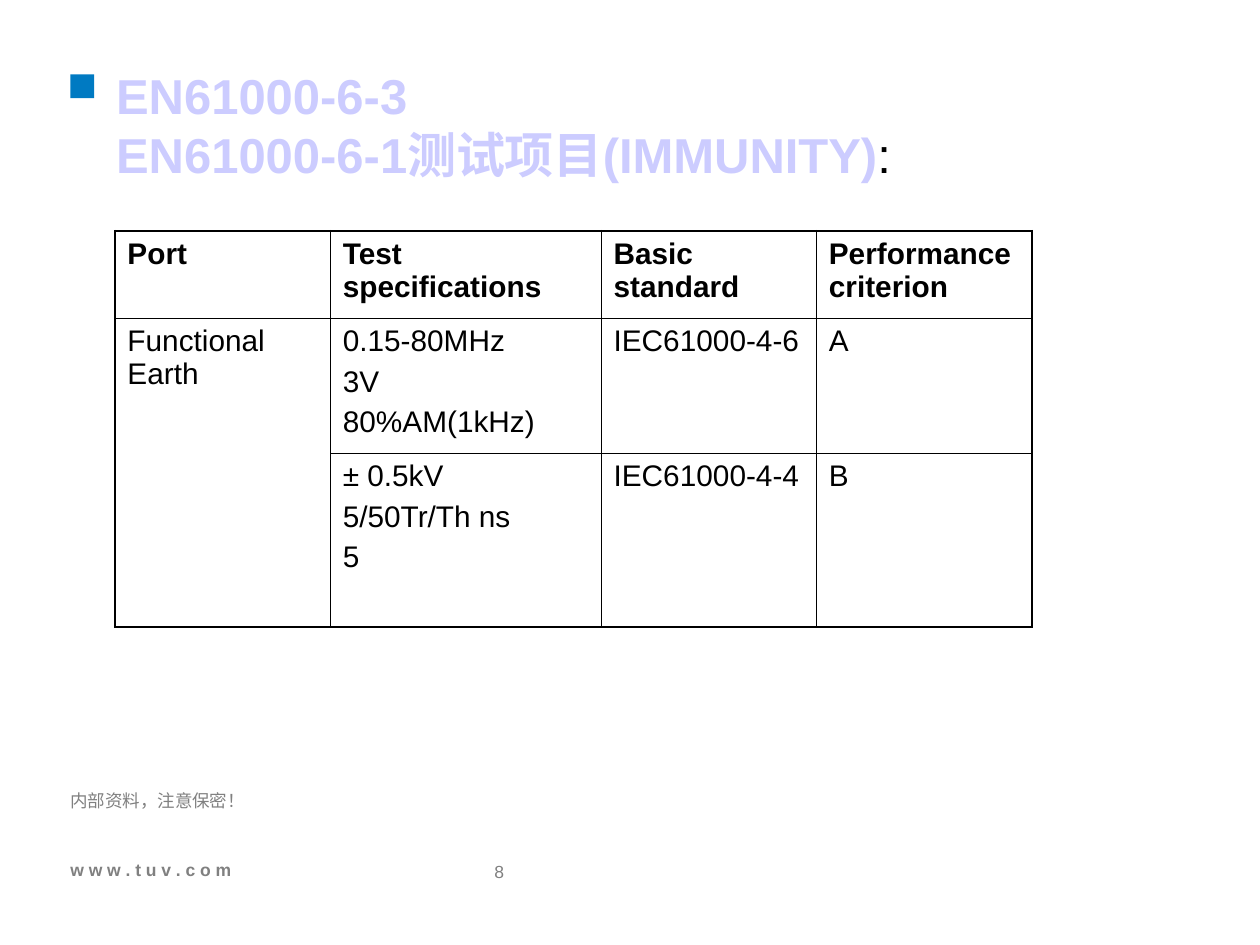
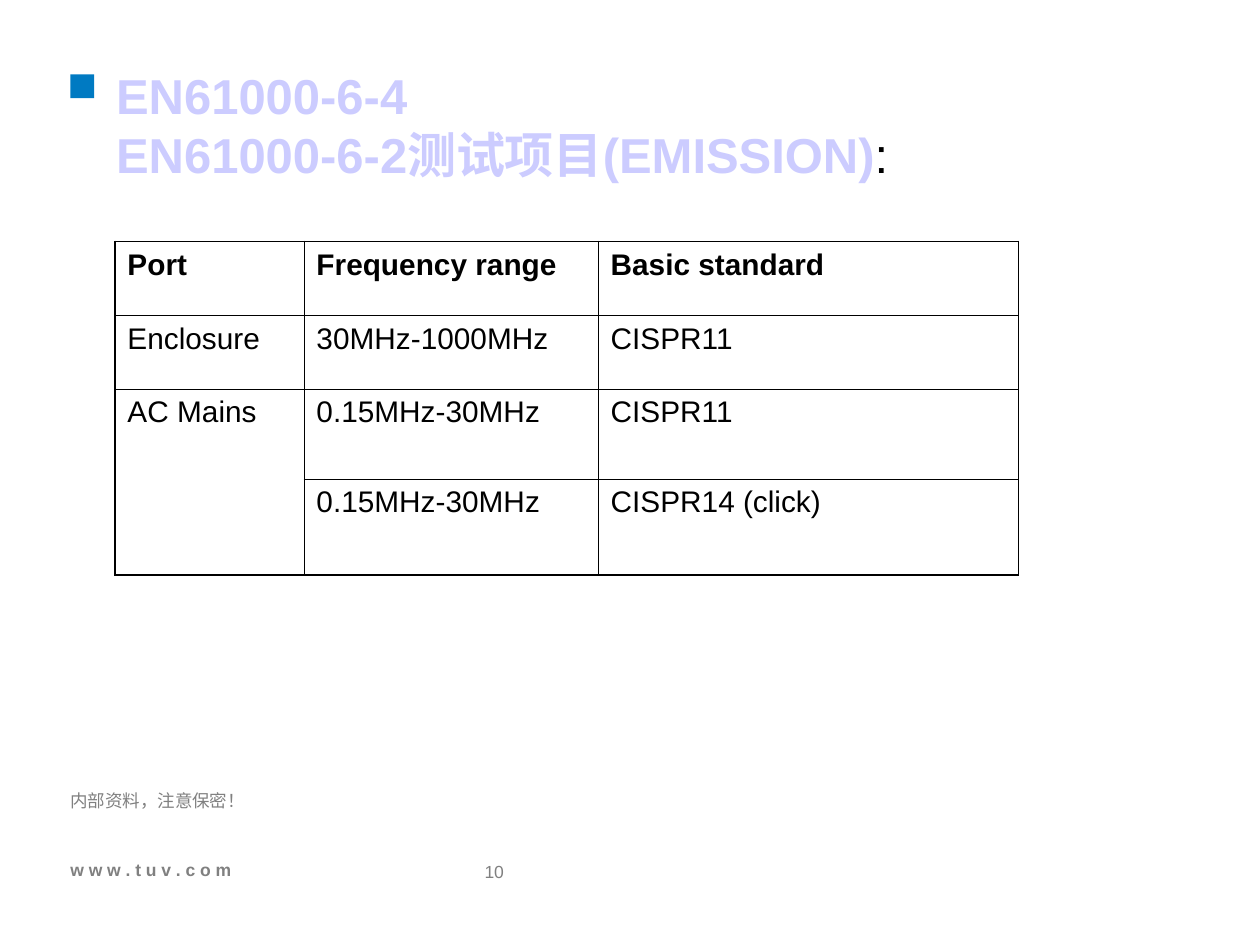
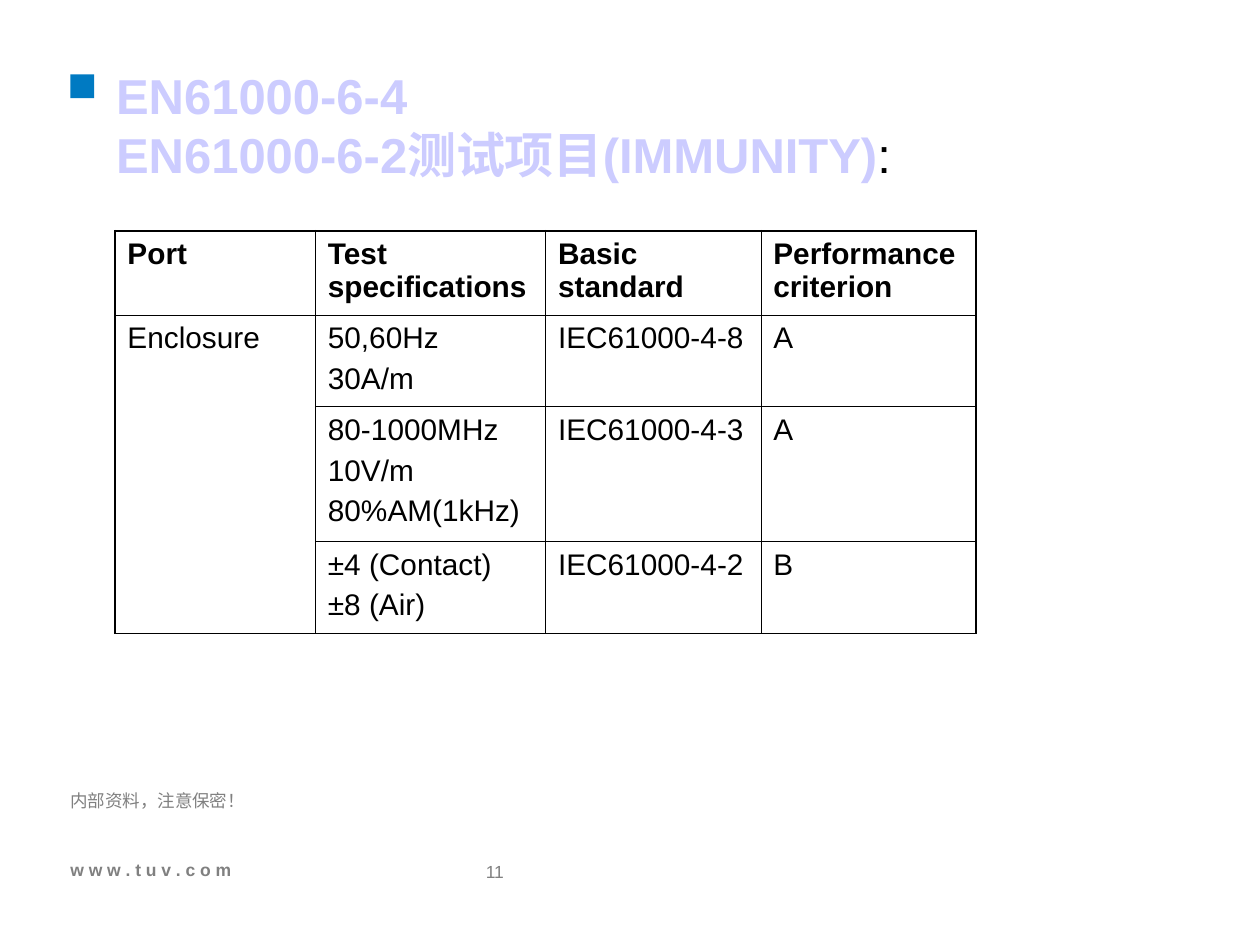
from pptx import Presentation
from pptx.dml.color import RGBColor as RGB
from pptx.enum.shapes import MSO_SHAPE as SHAPE
from pptx.enum.text import MSO_ANCHOR as ANCHOR, MSO_AUTO_SIZE as AUTO, PP_ALIGN as ALIGN
from pptx.oxml.ns import qn
from pptx.util import Cm, Pt
from lxml.etree import SubElement

COLORS = {
    "title": "CCCCFF",
    "text": "000000",
    "footer": "808080",
    "marker": "007AC2",
    "paper": "FFFFFF",
}
FONT = "Arial"
THIN, THICK = 0.45, 1.08
MARGIN = 1.42


def rgb(name):
    return RGB.from_string(COLORS[name])


class Deck:
    """Holds the style and the current slide."""

    def __init__(self):
        self.prs = Presentation()
        self.prs.slide_width, self.prs.slide_height = Cm(25.4), Cm(19.05)
        self.s = None

    def style(self, font, size, color, bold=False):
        font.name, font.size, font.bold = FONT, Pt(size), bold
        font.color.rgb = rgb(color)

    def frame(self, tf, top=0, anchor=ANCHOR.TOP):
        tf.margin_left = tf.margin_right = tf.margin_bottom = 0
        tf.margin_top = Cm(top)
        tf.word_wrap, tf.auto_size = True, AUTO.NONE
        tf.vertical_anchor = anchor

    def new_slide(self, title, number):
        self.s = self.prs.slides.add_slide(self.prs.slide_layouts[5])
        self.marker()
        self.title(title)
        self.footer("w w w . t u v . c o m", (MARGIN, 16.1, 4.29, 1.65),
                    bold=True, top=0.3, anchor=ANCHOR.BOTTOM)
        self.footer("内部资料，注意保密！", (MARGIN, 15.93, 8.05, 1.27))
        self.footer(str(number), (8.1, 17.35, 2.06, 1.27), align=ALIGN.RIGHT)

    def marker(self):
        sp = self.s.shapes.add_shape(SHAPE.RECTANGLE, Cm(MARGIN), Cm(1.5), Cm(0.48), Cm(0.48))
        sp.shadow.inherit = False
        sp.fill.solid()
        sp.fill.fore_color.rgb = rgb("marker")
        sp.line.fill.background()

    def title(self, lines):
        sp = self.s.shapes.title
        sp.left, sp.top, sp.width, sp.height = Cm(2.34), Cm(1.32), Cm(17.35), Cm(1.45)
        self.frame(sp.text_frame)
        p = sp.text_frame.paragraphs[0]
        p.alignment = ALIGN.LEFT
        for i, line in enumerate(lines):
            if i:
                p.add_line_break()
            r = p.add_run()
            r.text = line
            self.style(r.font, 28, "title", bold=True)
        r = p.add_run()
        r.text = ":"
        self.style(r.font, 28, "text")

    def footer(self, text, box, bold=False, align=ALIGN.LEFT, **layout):
        sp = self.s.shapes.add_textbox(*map(Cm, box))
        self.frame(sp.text_frame, **layout)
        p = sp.text_frame.paragraphs[0]
        p.text, p.alignment = text, align
        self.style(p.font, 10, "footer", bold)

    def borders(self, cell, **widths):
        tcPr = cell._tc.get_or_add_tcPr()
        for side in "LRTB":
            ln = SubElement(tcPr, qn(f"a:ln{side}"), w=str(int(Pt(widths[side]))))
            fill = SubElement(ln, qn("a:solidFill"))
            SubElement(fill, qn("a:srgbClr"), val=COLORS["text"])

    def cell(self, cell, text, bold):
        cell.margin_left = cell.margin_right = Cm(0.25)
        cell.margin_top = cell.margin_bottom = Cm(0.13)
        cell.fill.solid()
        cell.fill.fore_color.rgb = rgb("paper")
        tf = cell.text_frame
        for i, line in enumerate(text.split("\n")):
            p = tf.add_paragraph() if i else tf.paragraphs[0]
            p.text = line
            if i:
                p.space_before = Pt(4.2)
            self.style(p.font, 17, "text", bold)

    def table(self, top, widths, heights, rows):
        """None in the first column joins a cell to the one above it."""
        n_rows, n_cols = len(heights), len(widths)
        table = self.s.shapes.add_table(n_rows, n_cols, Cm(2.32), Cm(top),
                                        Cm(sum(widths)), Cm(sum(heights))).table
        table.first_row = table.horz_banding = False
        for col, width in zip(table.columns, widths):
            col.width = Cm(width)
        for row, height in zip(table.rows, heights):
            row.height = Cm(height)

        # Joined port cells run down to the last row
        ports = [row[0] for row in rows]
        if None in ports:
            first = ports.index(None) - 1
            table.cell(first, 0).merge(table.cell(n_rows - 1, 0))

        # Thick outer frame, thin inner lines
        for i, row in enumerate(rows):
            for j, text in enumerate(row):
                if text is None:
                    continue
                cell = table.cell(i, j)
                last = i + cell.span_height == n_rows if cell.is_merge_origin else i == n_rows - 1
                self.borders(cell,
                             L=THIN if j else THICK,
                             R=THICK if j == n_cols - 1 else THIN,
                             T=THIN if i else THICK,
                             B=THICK if last else THIN)
                self.cell(cell, text, bold=i == 0)


IMMUNITY_HEAD = ("Port", "Test specifications", "Basic standard", "Performance criterion")


def main():
    deck = Deck()

    # Immunity, functional earth
    deck.new_slide(("EN61000-6-3", "EN61000-6-1测试项目(IMMUNITY)"), 8)
    deck.table(4.65, (4.34, 5.46, 4.34, 4.34), (1.76, 2.72, 3.51), (
        IMMUNITY_HEAD,
        ("Functional Earth", "0.15-80MHz\n3V\n80%AM(1kHz)", "IEC61000-4-6", "A"),
        (None, "± 0.5kV\n5/50Tr/Th ns\n5", "IEC61000-4-4", "B"),
    ))

    # Emission
    deck.new_slide(("EN61000-6-4", "EN61000-6-2测试项目(EMISSION)"), 10)
    deck.table(4.87, (3.81, 5.93, 8.47), (1.49, 1.49, 1.81, 1.93), (
        ("Port", "Frequency range", "Basic standard"),
        ("Enclosure", "30MHz-1000MHz", "CISPR11"),
        ("AC Mains", "0.15MHz-30MHz", "CISPR11"),
        (None, "0.15MHz-30MHz", "CISPR14 (click)"),
    ))

    # Immunity, enclosure
    deck.new_slide(("EN61000-6-4", "EN61000-6-2测试项目(IMMUNITY)"), 11)
    deck.table(4.65, (4.04, 4.64, 4.34, 4.34), (1.7, 1.85, 2.72, 1.85), (
        IMMUNITY_HEAD,
        ("Enclosure", "50,60Hz\n30A/m", "IEC61000-4-8", "A"),
        (None, "80-1000MHz\n10V/m\n80%AM(1kHz)", "IEC61000-4-3", "A"),
        (None, "±4 (Contact)\n±8 (Air)", "IEC61000-4-2", "B"),
    ))

    deck.prs.save("out.pptx")


if __name__ == "__main__":
    main()
